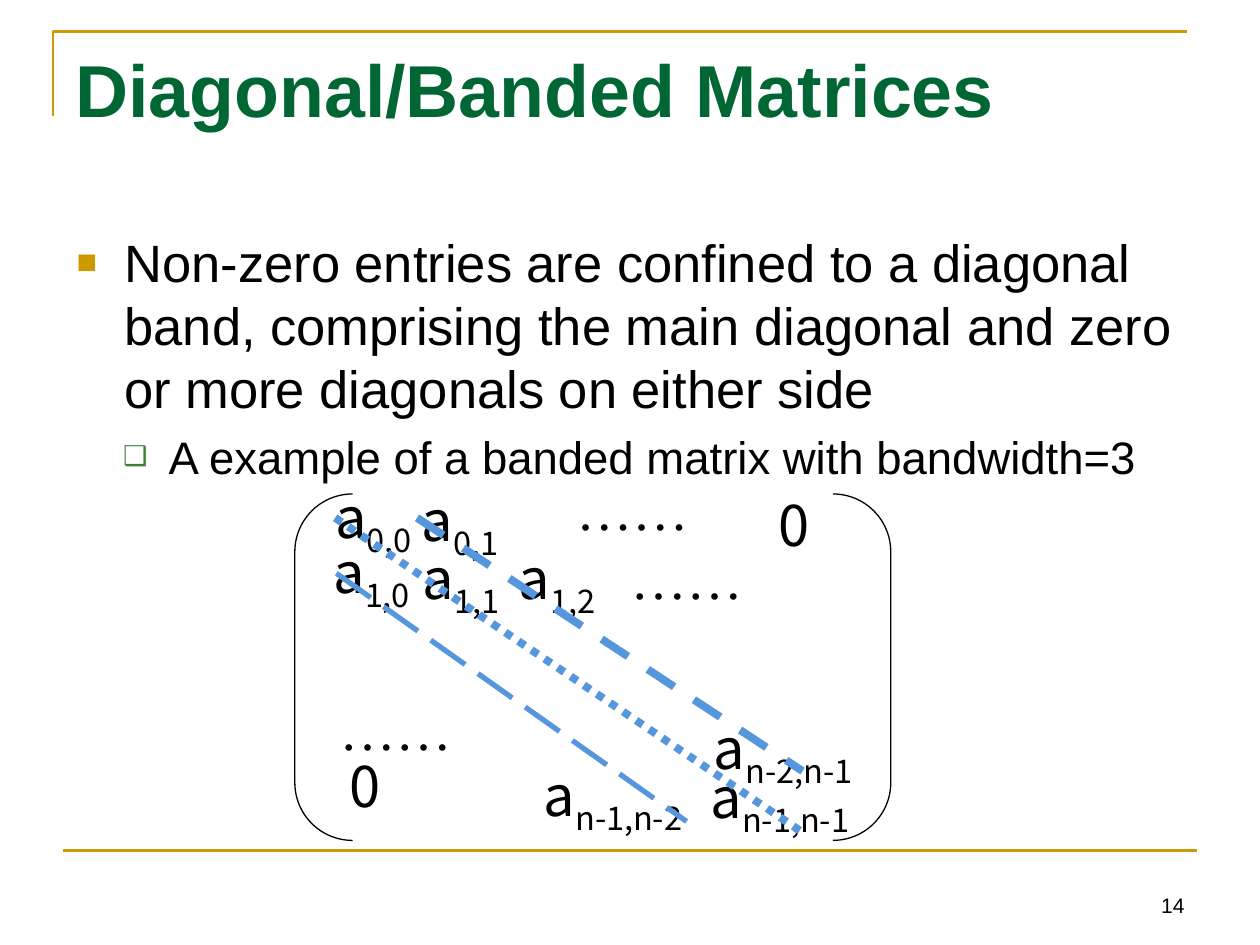
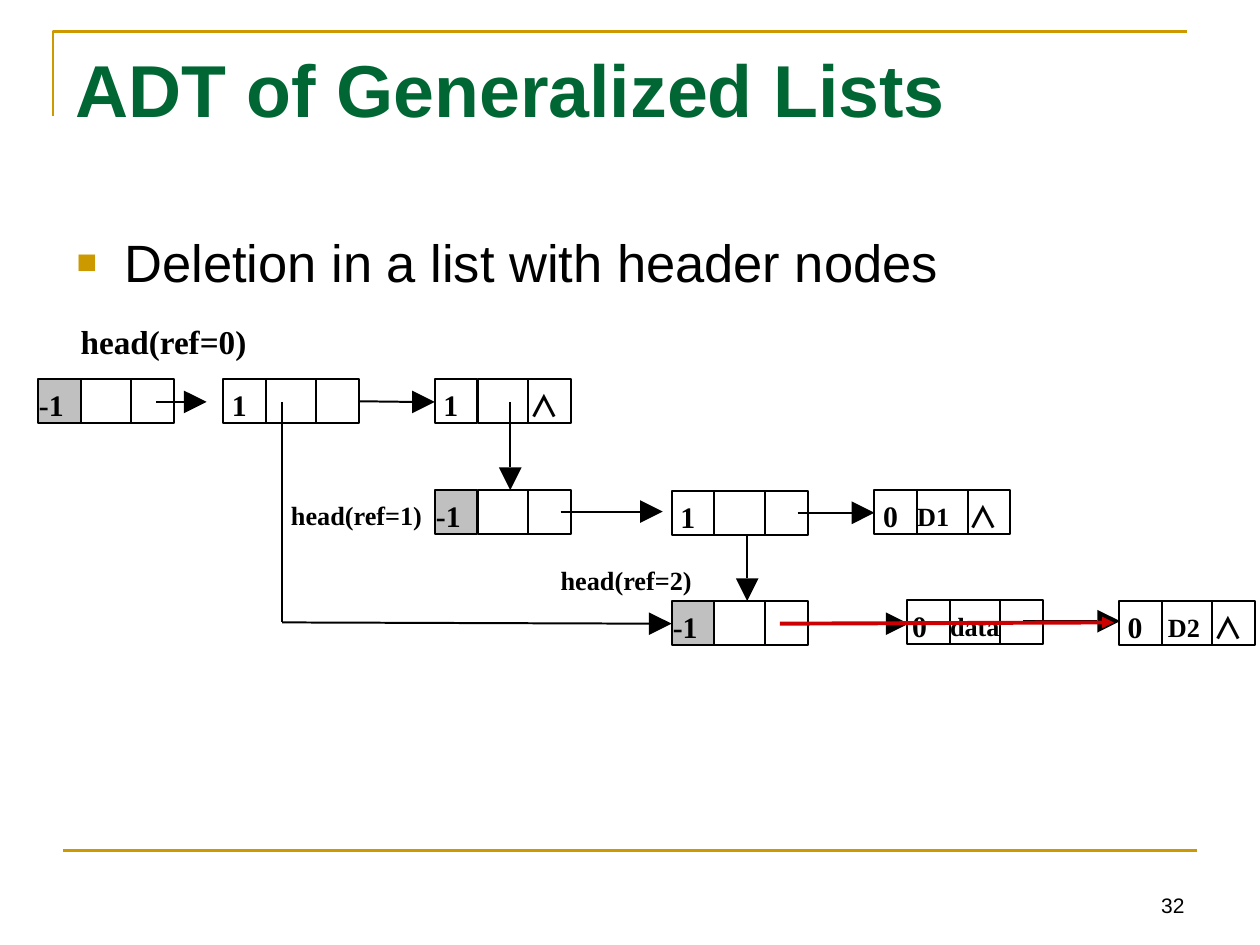
from lxml.etree import SubElement
from pptx import Presentation
from pptx.dml.color import RGBColor
from pptx.enum.dml import MSO_LINE
from pptx.enum.shapes import MSO_CONNECTOR, MSO_SHAPE
from pptx.enum.text import MSO_ANCHOR, PP_ALIGN
from pptx.oxml.ns import qn
from pptx.util import Inches, Pt

COLORS = {
    "gold": "CC9900",
    "title": "006633",
    "sub_bullet": "3B812F",
    "ink": "000000",
    "diagonal": "5696DC",
    "header_cell": "C0C0C0",
    "bypass": "CC0000",
}
SANS, SERIF, CJK = "Arial", "Times New Roman", "Noto Sans CJK SC"
LINK_WIDTH = 1.13
TAG_W, DATA_W, NODE_H = 0.34, 0.4, 0.35
HEAD_LENGTH, HEAD_HALF = 0.18, 0.09
BULLETS = [
    {"char": "■", "color": "gold", "percent": 65, "left": 0.38, "hang": 0.38, "size": 30},
    {"char": "❑", "color": "sub_bullet", "percent": 60, "left": 0.73, "hang": 0.36, "size": 26},
]


def rgb(name):
    return RGBColor.from_string(COLORS[name])


def set_font(paragraph, size, face, color="ink", bold=False):
    font = paragraph.font
    font.size, font.name, font.bold = Pt(size), face, bold
    font.color.rgb = rgb(color)
    SubElement(font._element, qn("a:ea"), typeface=face)


def set_space_before(paragraph, percent):
    before = SubElement(paragraph._p.get_or_add_pPr(), qn("a:spcBef"))
    SubElement(before, qn("a:spcPct"), val=str(percent * 1000))


def set_bullet(paragraph, bullet):
    props = paragraph._p.get_or_add_pPr()
    props.set("marL", str(Inches(bullet["left"])))
    props.set("indent", str(-Inches(bullet["hang"])))
    color = SubElement(props, qn("a:buClr"))
    SubElement(color, qn("a:srgbClr"), val=COLORS[bullet["color"]])
    SubElement(props, qn("a:buSzPct"), val=str(bullet["percent"] * 1000))
    SubElement(props, qn("a:buFont"), typeface=SANS)
    SubElement(props, qn("a:buChar"), char=bullet["char"])


def add_text_frame(slide, x, y, w, h, inset=True):
    frame = slide.shapes.add_textbox(Inches(x), Inches(y), Inches(w), Inches(h)).text_frame
    frame.word_wrap = inset
    if not inset:
        frame.margin_left = frame.margin_right = frame.margin_top = frame.margin_bottom = 0
    return frame


def add_line(slide, start, end, color="ink", width=LINK_WIDTH, dash=None):
    line = slide.shapes.add_connector(
        MSO_CONNECTOR.STRAIGHT, *(Inches(value) for value in (*start, *end)))
    line.line.color.rgb = rgb(color)
    line.line.width = Pt(width)
    if dash:
        line.line.dash_style = dash
    SubElement(line._element.spPr, qn("a:effectLst"))
    return line


def add_outline(slide, points, closed):
    builder = slide.shapes.build_freeform(*(Inches(value) for value in points[0]), scale=1.0)
    builder.add_line_segments(
        [(Inches(x), Inches(y)) for x, y in points[1:]], close=closed)
    outline = builder.convert_to_shape()
    outline.shadow.inherit = False
    return outline


def add_arrow(slide, start, end):
    (x1, y1), (x2, y2) = start, end
    if abs(x2 - x1) > abs(y2 - y1):
        neck = (x2 - HEAD_LENGTH, y2)
        corners = [(neck[0], y2 + side) for side in (HEAD_HALF, -HEAD_HALF)]
    else:
        neck = (x2, y2 - HEAD_LENGTH)
        corners = [(x2 + side, neck[1]) for side in (HEAD_HALF, -HEAD_HALF)]
    shaft = add_line(slide, start, neck)
    head = add_outline(slide, [corners[0], end, corners[1]], closed=True)
    head.fill.solid()
    head.fill.fore_color.rgb = rgb("ink")
    head.line.fill.background()
    return shaft


def add_base_slide(prs, title, number, points):
    slide = prs.slides.add_slide(prs.slide_layouts[6])
    corner = add_outline(slide, [(0.42, 0.92), (0.42, 0.25), (9.42, 0.25)], closed=False)
    corner.fill.background()
    corner.line.color.rgb = rgb("gold")
    corner.line.width = Pt(1.5)
    add_line(slide, (0.5, 6.75), (9.5, 6.75), "gold", 1.5)

    heading = add_text_frame(slide, 0.5, 0.3, 9, 1.25).paragraphs[0]
    heading.text = title
    set_font(heading, 42, SANS, "title", True)

    body = add_text_frame(slide, 0.51, 1.78, 9, 4.95)
    for level, point in enumerate(points):
        paragraph = body.paragraphs[0] if level == 0 else body.add_paragraph()
        paragraph.text = point
        paragraph.level = level
        set_space_before(paragraph, 20)
        set_bullet(paragraph, BULLETS[level])
        set_font(paragraph, BULLETS[level]["size"], SANS)

    footer = add_text_frame(slide, 7.17, 6.83, 2.33, 0.5)
    footer.vertical_anchor = MSO_ANCHOR.BOTTOM
    page = footer.paragraphs[0]
    page.text = str(number)
    page.alignment = PP_ALIGN.RIGHT
    set_font(page, 12, SANS)
    return slide


def add_entry(slide, x, y, w, text, subscript="", face=CJK):
    entry = add_text_frame(slide, x, y, w, 0.53).paragraphs[0]
    entry.alignment = PP_ALIGN.CENTER
    entry.line_spacing = 0.8
    set_space_before(entry, 50)
    props = entry._p.get_or_add_pPr()
    props.set("marL", str(Inches(0.38)))
    props.set("indent", str(-Inches(0.38)))
    set_font(entry, 32, face)
    entry.add_run().text = text
    if subscript:
        index = entry.add_run()
        index.text = subscript
        index.font._element.set("baseline", "-25000")


def add_banded_matrix(slide, x, y):
    brackets = slide.shapes.add_shape(
        MSO_SHAPE.DOUBLE_BRACKET, Inches(x), Inches(y), Inches(4.73), Inches(2.75))
    brackets.adjustments[0] = 0.167
    brackets.shadow.inherit = False
    brackets.fill.background()
    brackets.line.color.rgb = rgb("ink")
    brackets.line.width = Pt(0.75)

    for dx, dy, w, subscript in [
        (-0.02, -0.08, 1.29, "0,0"), (0.85, 0.4, 0.94, "1,1"),
        (0.84, -0.06, 0.94, "0,1"), (0.14, 0.35, 0.94, "1,0"),
        (1.77, 2.12, 1.51, "n-1,n-2"), (3.12, 2.14, 1.46, "n-1,n-1"),
        (2.98, 1.75, 1.79, "n-2,n-1"), (1.61, 0.4, 0.94, "1,2"),
    ]:
        add_entry(slide, x + dx, y + dy, w, "a", subscript)

    for (x1, y1), (x2, y2), width, dash in [
        ((0.32, 0.19), (4.02, 2.68), 4.5, "sysDot"),
        ((0.33, 0.63), (3.11, 2.6), 3, "lgDash"),
        ((0.97, 0.19), (4.03, 2.2), 4.5, "dash"),
    ]:
        add_line(slide, (x + x1, y + y1), (x + x2, y + y2), "diagonal", width,
                 MSO_LINE.from_xml(dash))

    for dx, dy in [(3.7, 0.03), (0.3, 2.1)]:
        add_entry(slide, x + dx, y + dy, 0.52, "0")
    for dx, dy in [(2, -0.1), (2.43, 0.45), (0.12, 1.65)]:
        add_entry(slide, x + dx, y + dy, 1.36, "……", face=SERIF)


def add_cell(slide, x, y, w, text="", size=17, face=SERIF, inset=0.01, drop=0.06, shaded=False):
    cell = slide.shapes.add_shape(
        MSO_SHAPE.RECTANGLE, Inches(x), Inches(y), Inches(w), Inches(NODE_H))
    cell.shadow.inherit = False
    cell.line.color.rgb = rgb("ink")
    cell.line.width = Pt(LINK_WIDTH)
    if shaded:
        cell.fill.solid()
        cell.fill.fore_color.rgb = rgb("header_cell")
    else:
        cell.fill.background()
    if text:
        frame = cell.text_frame
        frame.margin_left, frame.margin_top = Inches(inset), Inches(drop)
        frame.margin_right = frame.margin_bottom = 0
        frame.vertical_anchor = MSO_ANCHOR.TOP
        label = frame.paragraphs[0]
        label.text = text
        label.alignment = PP_ALIGN.LEFT
        set_font(label, size, face, bold=True)
    return cell


def add_node(slide, x, y, tag, data="", last=False):
    header = tag == "-1"
    tag_inset = 0.01 if header else 0.04 if data == "data" else 0.07
    data_inset = 0.05 if data == "D2" else 0
    add_cell(slide, x, y, TAG_W, tag, inset=tag_inset, shaded=header)
    add_cell(slide, x + TAG_W, y, DATA_W, data, 15, inset=data_inset, drop=0.08)
    link = add_cell(slide, x + TAG_W + DATA_W, y, TAG_W)
    if last:
        add_label(slide, x + TAG_W + DATA_W + 0.01, y + 0.07, 0.24, "∧", 17, CJK)
    return link


def add_label(slide, x, y, w, text, size, face=SERIF):
    label = add_text_frame(slide, x, y, w, 0.25, inset=False).paragraphs[0]
    label.text = text
    set_font(label, size, face, bold=True)


def add_list_diagram(slide, x, y):
    add_node(slide, x, y, "-1")
    first_link = add_node(slide, x + 1.47, y, "1")
    for dx, dy, *content in [
        (3.15, 0, "1", "", True),
        (3.15, 0.88, "-1"), (5.03, 0.89, "1"), (6.64, 0.88, "0", "D1", True),
        (5.03, 1.76, "-1"), (6.9, 1.75, "0", "data"), (8.58, 1.76, "0", "D2", True),
    ]:
        add_node(slide, x + dx, y + dy, *content)

    for dx, dy, w, reference, size in [
        (0.34, -0.46, 1.32, 0, 19), (2.01, 0.95, 1.04, 1, 15), (4.15, 1.47, 1.04, 2, 15),
    ]:
        add_label(slide, x + dx, y + dy, w, f"head(ref={reference})", size)

    add_arrow(slide, (x + 2.55, y + 0.18), (x + 3.15, y + 0.18)).begin_connect(first_link, 3)
    add_line(slide, (x + 1.94, y + 0.18), (x + 1.94, y + 1.93))
    for (x1, y1), (x2, y2) in [
        ((0.94, 0.18), (1.34, 0.18)), ((3.75, 0.18), (3.75, 0.88)),
        ((1.94, 1.93), (5.03, 1.94)), ((4.15, 1.05), (4.96, 1.05)),
        ((5.9, 1.94), (6.91, 1.94)), ((5.63, 1.24), (5.63, 1.76)),
        ((6.03, 1.06), (6.64, 1.06)), ((7.82, 1.92), (8.59, 1.92)),
    ]:
        add_arrow(slide, (x + x1, y + y1), (x + x2, y + y2))

    bypass = add_line(slide, (x + 5.89, y + 1.94), (x + 8.54, y + 1.93), "bypass", 2.25)
    SubElement(bypass.line._get_or_add_ln(), qn("a:tailEnd"), type="triangle")


def main():
    prs = Presentation()
    prs.slide_width, prs.slide_height = Inches(10), Inches(7.5)
    matrices = add_base_slide(prs, "Diagonal/Banded Matrices", 14, [
        "Non-zero entries are confined to a diagonal band, comprising the main diagonal "
        "and zero or more diagonals on either side",
        "A example of a banded matrix with bandwidth=3",
    ])
    add_banded_matrix(matrices, 2.34, 3.92)
    lists = add_base_slide(prs, "ADT of Generalized Lists", 32,
                           ["Deletion in a list with header nodes"])
    add_list_diagram(lists, 0.3, 3.01)
    prs.save("out.pptx")


if __name__ == "__main__":
    main()
